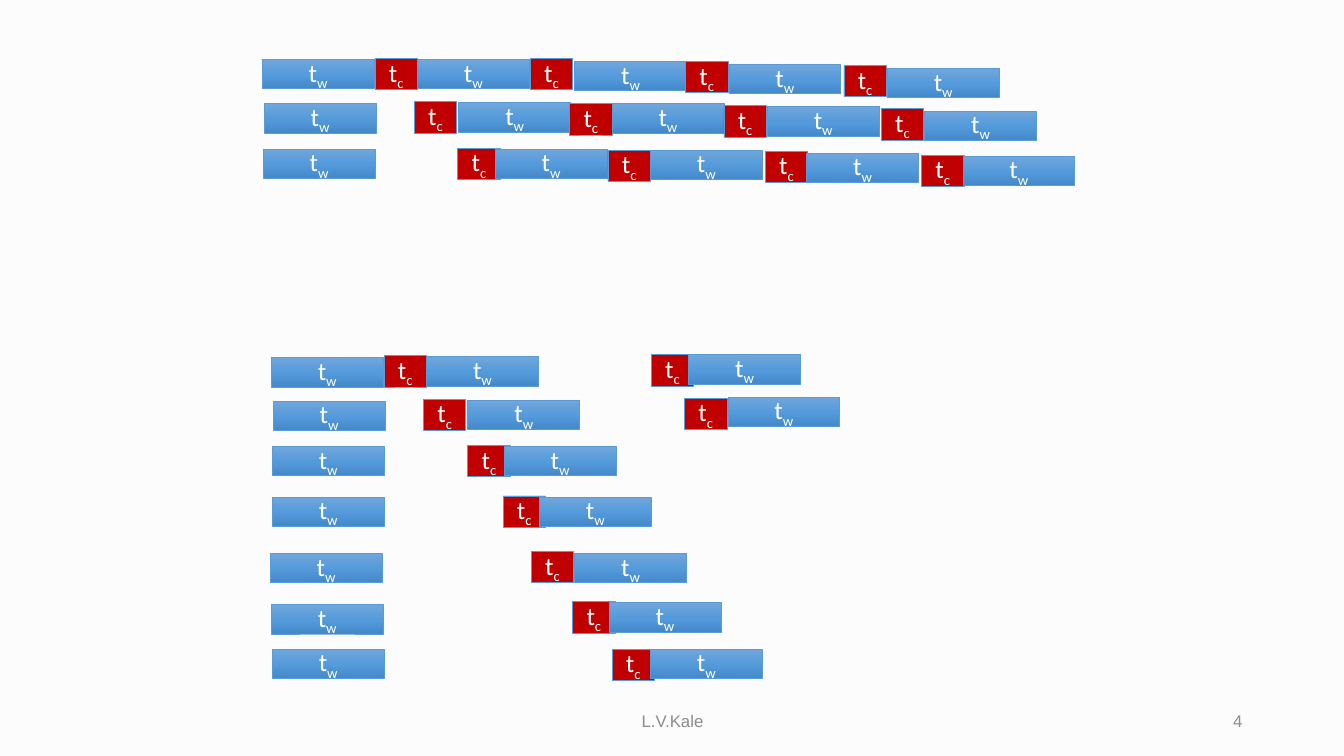
from copy import deepcopy
from pptx import Presentation
from pptx.dml.color import RGBColor
from pptx.enum.shapes import MSO_SHAPE
from pptx.enum.text import MSO_ANCHOR, PP_ALIGN
from pptx.oxml.ns import qn
from pptx.util import Inches, Pt

# Content: (left, top) of the blocks of each processor, one row per processor.
# Blocks alternate along a row: work, communication, work, ...
PIPELINE = [
    [(2.6, 0.59), (3.72, 0.58), (4.14, 0.59), (5.26, 0.58), (5.7, 0.61),
     (6.8, 0.61), (7.23, 0.64), (8.37, 0.65), (8.8, 0.68)],
    [(2.62, 1.03), (4.11, 1.01), (4.55, 1.02), (5.65, 1.03), (6.07, 1.03),
     (7.18, 1.05), (7.61, 1.06), (8.74, 1.08), (9.17, 1.1)],
    [(2.61, 1.48), (4.54, 1.47), (4.91, 1.48), (6.03, 1.49), (6.45, 1.49),
     (7.59, 1.5), (8, 1.52), (9.14, 1.54), (9.55, 1.55)],
]
LONG_PIPELINE = [
    [(2.69, 3.55), (3.81, 3.53), (4.23, 3.54), (6.46, 3.52), (6.83, 3.52)],
    [(2.71, 3.98), (4.2, 3.96), (4.64, 3.97), (6.79, 3.95), (7.22, 3.94)],
    [(2.7, 4.43), (4.64, 4.42), (5, 4.43)],
    [(2.7, 4.93), (4.99, 4.92), (5.35, 4.93)],
    [(2.68, 5.49), (5.27, 5.47), (5.7, 5.49)],
    [(2.69, 6), (5.68, 5.97), (6.04, 5.98)],
    [(2.7, 6.44), (6.07, 6.44), (6.45, 6.44)],
]
FOOTERS = [("L.V.Kale", 4.42, 4.5, PP_ALIGN.CENTER),
           ("4", 9.42, 3, PP_ALIGN.RIGHT)]

WORK_SIZE = (1.11, 0.29)
COMM_SIZE = (0.42, 0.31)
BACKGROUND = RGBColor(0xFC, 0xFC, 0xFC)
WHITE = RGBColor(0xFF, 0xFF, 0xFF)
GRAY = RGBColor(0x8C, 0x8C, 0x8C)
RED = RGBColor(0xC0, 0x00, 0x00)
OUTLINE = RGBColor(0x5B, 0x9B, 0xD5)
WORK_STOPS = [(0, RGBColor(0x71, 0xA6, 0xDB)),
              (0.5, RGBColor(0x55, 0x9B, 0xDB)),
              (1, RGBColor(0x44, 0x8A, 0xCA))]


def fill_gradient(shape):
    shape.fill.gradient()
    shape.fill.gradient_angle = 270
    stops = shape._element.spPr.find(qn("a:gradFill")).find(qn("a:gsLst"))
    stops.append(deepcopy(stops[-1]))
    for stop, (position, color) in zip(shape.fill.gradient_stops, WORK_STOPS):
        stop.position = position
        stop.color.rgb = color


def set_font(p, name, size, color):
    p.font.name = name
    p.font.size = Pt(size)
    p.font.color.rgb = color


def add_block(shapes, left, top, is_work):
    width, height = WORK_SIZE if is_work else COMM_SIZE
    sp = shapes.add_shape(MSO_SHAPE.RECTANGLE, Inches(left), Inches(top),
                          Inches(width), Inches(height))
    sp.shadow.inherit = False
    sp.line.color.rgb = OUTLINE
    sp.line.width = Pt(0.5)
    if is_work:
        fill_gradient(sp)
    else:
        sp.fill.solid()
        sp.fill.fore_color.rgb = RED
    tf = sp.text_frame
    tf.vertical_anchor = MSO_ANCHOR.MIDDLE
    p = tf.paragraphs[0]
    p.alignment = PP_ALIGN.CENTER
    set_font(p, "Calibri", 18, WHITE)
    p.add_run().text = "t"
    r = p.add_run()
    r.text = "w" if is_work else "c"
    r._r.get_or_add_rPr().set("baseline", "-25000")


prs = Presentation()
prs.slide_width, prs.slide_height = Inches(13.33), Inches(7.5)
s = prs.slides.add_slide(prs.slide_layouts[6])
s.background.fill.solid()
s.background.fill.fore_color.rgb = BACKGROUND

# Footer and slide number
for text, left, width, align in FOOTERS:
    box = s.shapes.add_textbox(Inches(left), Inches(6.95), Inches(width), Inches(0.4))
    tf = box.text_frame
    tf.word_wrap = True
    tf.vertical_anchor = MSO_ANCHOR.MIDDLE
    p = tf.paragraphs[0]
    p.text = text
    p.alignment = align
    set_font(p, "Arial", 12, GRAY)

# Timelines; the first work blocks of the long pipeline form one group
first_blocks = s.shapes.add_group_shape()
for pipeline in (PIPELINE, LONG_PIPELINE):
    for row in pipeline:
        for i, (left, top) in enumerate(row):
            grouped = pipeline is LONG_PIPELINE and i == 0
            shapes = first_blocks.shapes if grouped else s.shapes
            add_block(shapes, left, top, is_work=i % 2 == 0)

prs.save("out.pptx")
